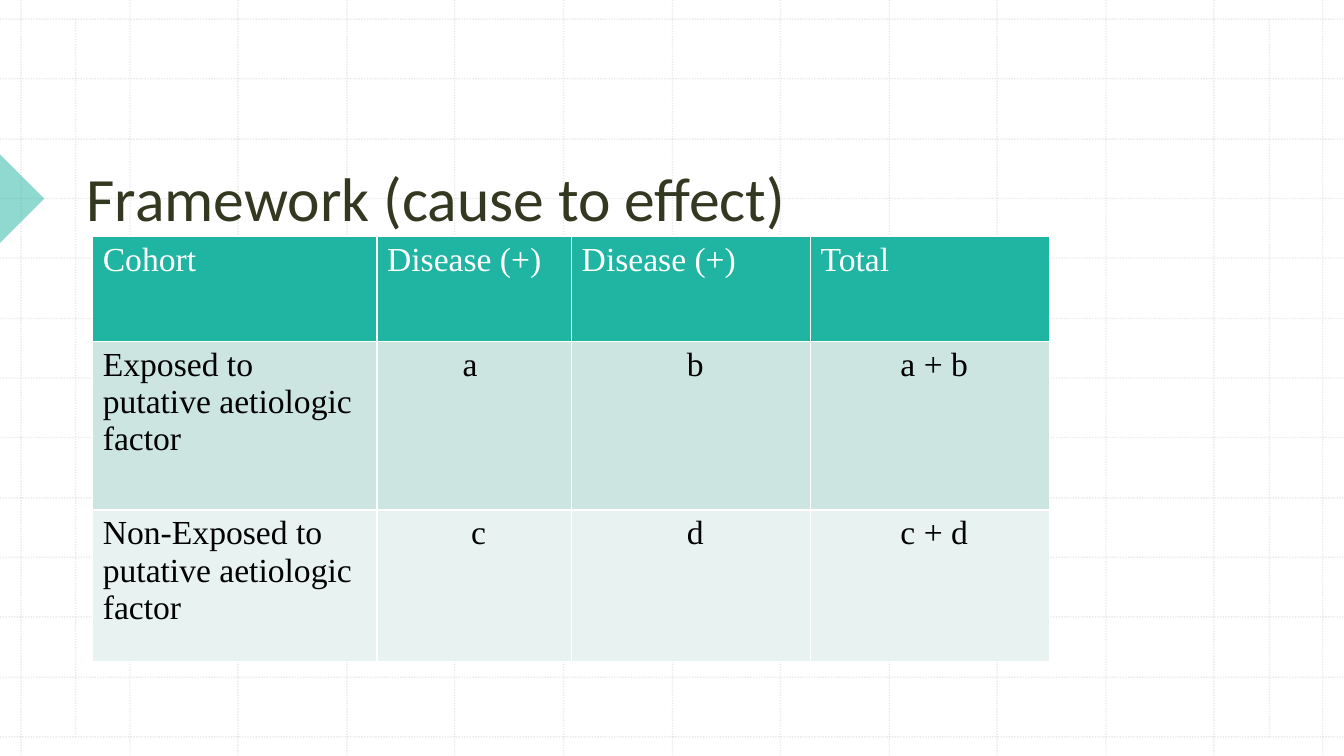
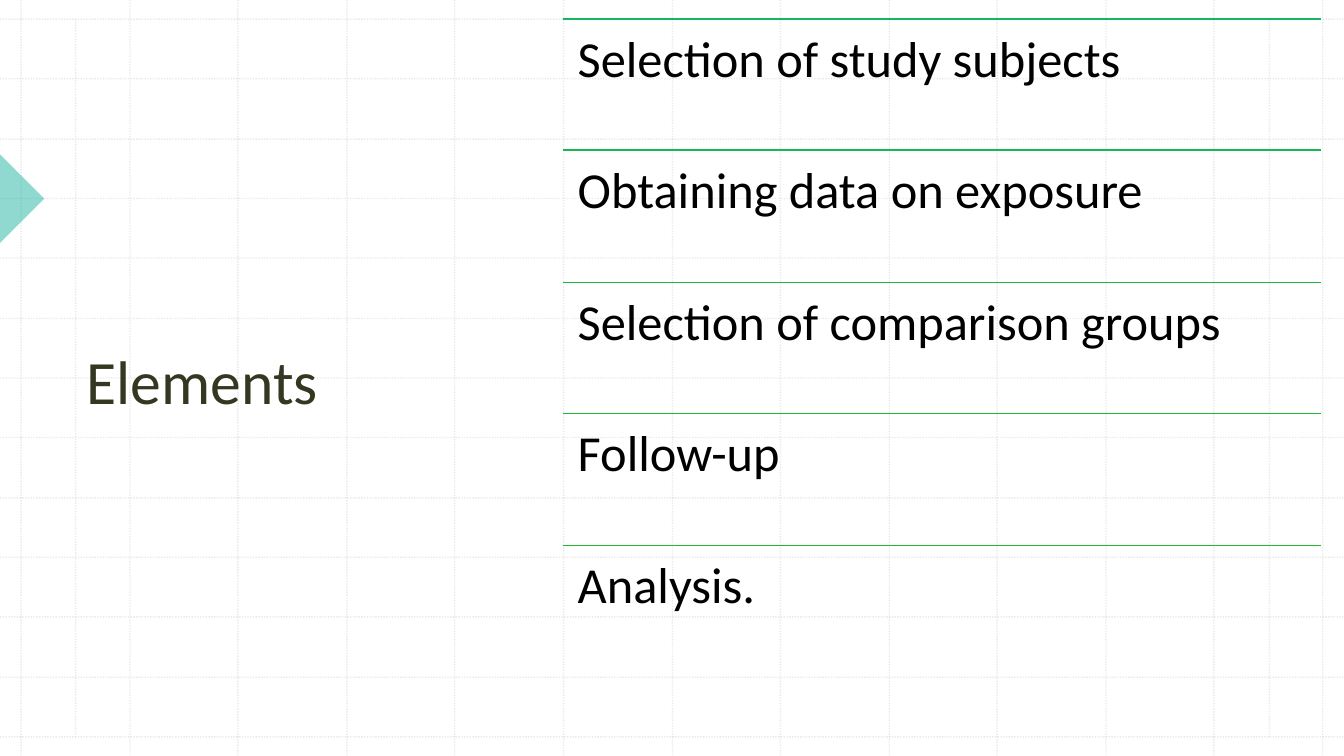
from dataclasses import dataclass

from lxml import etree
from pptx import Presentation
from pptx import util as u
from pptx.dml.color import RGBColor
from pptx.enum import dml, shapes, text
from pptx.oxml import ns

EMU_PER_PX = 9144
SLIDE_WIDTH, SLIDE_HEIGHT = 1333, 750
GRID_LEFT, GRID_RIGHT = 21, 1312
GRID_TOP, GRID_BOTTOM = 19, 731
GRID_STEPS = 12
INNER_VERTICALS = (75, 1259)

TEAL, WHITE, BLACK, GRID_GREY = "20B4A2", "FFFFFF", "000000", "BCBCBC"
TITLE_FONT = {"name": "Calibri", "size": u.Pt(44), "bold": False}
TITLE_COLOUR = "333820"
ELEMENT_FONT = {"name": "Calibri", "size": u.Pt(36)}
TABLE_FONT = {"name": "Times New Roman", "size": u.Pt(24), "bold": False}


@dataclass(frozen=True)
class Box:
    left: int
    top: int
    width: int
    height: int

    def emu(self) -> tuple:
        return tuple(map(px, (self.left, self.top, self.width, self.height)))


@dataclass(frozen=True)
class Line:
    start: tuple
    end: tuple
    colour: str


@dataclass(frozen=True)
class TableRow:
    height: int
    fill: str
    font_colour: str
    cells: tuple
    value_alignment: text.PP_ALIGN = text.PP_ALIGN.CENTER


@dataclass(frozen=True)
class Element:
    wording: str
    rule_colour: str


COLUMN_WIDTHS = (282, 193, 237, 237)
TABLE_ROWS = (
    TableRow(104, TEAL, WHITE, ("Cohort", "Disease (+)", "Disease (+)", "Total"),
             text.PP_ALIGN.LEFT),
    TableRow(167, "CDE5E0", BLACK,
             ("Exposed to putative aetiologic factor", "a ", " b", " a + b")),
    TableRow(150, "E8F2F0", BLACK,
             ("Non-Exposed to putative aetiologic factor", " c", " d", " c + d")),
)
ELEMENTS = (
    Element("Selection of study subjects", "14B760"),
    Element("Obtaining data on exposure", "17B851"),
    Element("Selection of comparison groups", "1AB843"),
    Element("Follow-up", "1EB935"),
    Element("Analysis.", "21B928"),
)


def px(length: int) -> u.Emu:
    return u.Emu(length * EMU_PER_PX)


def rgb(colour: str) -> RGBColor:
    return RGBColor.from_string(colour)


def apply_format(target, values: dict) -> None:
    for name, value in values.items():
        setattr(target, name, value)


def format_font(paragraph, values: dict, colour: str) -> None:
    apply_format(paragraph.font, values)
    paragraph.font.color.rgb = rgb(colour)


def set_opacity(shape, percent: int) -> None:
    for colour in shape.element.iter(ns.qn("a:srgbClr")):
        etree.SubElement(colour, ns.qn("a:alpha"), val=str(percent * 1000))


def add_line(slide, line: Line):
    connector = slide.shapes.add_connector(
        shapes.MSO_CONNECTOR.STRAIGHT, *map(px, line.start + line.end))
    connector.line.color.rgb = rgb(line.colour)
    connector.line.width = u.Pt(1)
    etree.SubElement(connector.element.spPr, ns.qn("a:effectLst"))
    return connector


def grid_positions(first: int, last: int) -> list:
    return [first + round((last - first) * step / GRID_STEPS)
            for step in range(GRID_STEPS + 1)]


def grid_lines() -> list:
    spans = [((x, 0), (x, SLIDE_HEIGHT)) for x in grid_positions(GRID_LEFT, GRID_RIGHT)]
    spans += [((0, y), (SLIDE_WIDTH, y)) for y in grid_positions(GRID_TOP, GRID_BOTTOM)]
    spans += [((x, GRID_TOP), (x, GRID_BOTTOM)) for x in INNER_VERTICALS]
    return [Line(start, end, GRID_GREY) for start, end in spans]


def add_edge_marker(slide):
    marker = slide.shapes.add_shape(
        shapes.MSO_SHAPE.RIGHT_TRIANGLE, *Box(-31, 166, 62, 62).emu())
    marker.rotation = 225
    marker.shadow.inherit = False
    marker.fill.solid()
    marker.fill.fore_color.rgb = rgb(TEAL)
    marker.line.fill.background()
    set_opacity(marker, 50)
    return marker


def build_backdrop(slide) -> None:
    """Draw the grid and marker, then move them to the layout all slides share."""
    backdrop = []
    for line in grid_lines():
        connector = add_line(slide, line)
        connector.line.dash_style = dml.MSO_LINE.ROUND_DOT
        set_opacity(connector, 30)
        backdrop.append(connector)
    backdrop.append(add_edge_marker(slide))
    layout_tree = slide.slide_layout.shapes.element
    for index, shape in enumerate(backdrop):
        shape.element.xpath("./*/p:cNvPr")[0].set("id", str(100 + index))
        layout_tree.insert(2 + index, shape.element)


def set_title(slide, wording: str, box: Box, anchor: text.MSO_ANCHOR) -> None:
    title = slide.shapes.title
    apply_format(title, dict(zip(("left", "top", "width", "height"), box.emu())))
    frame = title.text_frame
    frame.text = wording
    apply_format(frame, {"word_wrap": True, "vertical_anchor": anchor,
                         "auto_size": text.MSO_AUTO_SIZE.NONE})
    paragraph = frame.paragraphs[0]
    paragraph.alignment = text.PP_ALIGN.LEFT
    format_font(paragraph, TITLE_FONT, TITLE_COLOUR)


def set_cell_borders(cell, colour: str) -> None:
    properties = cell._tc.get_or_add_tcPr()
    for index, side in enumerate(("lnL", "lnR", "lnT", "lnB")):
        border = etree.Element(ns.qn(f"a:{side}"), w=str(u.Pt(1)))
        fill = etree.SubElement(border, ns.qn("a:solidFill"))
        etree.SubElement(fill, ns.qn("a:srgbClr"), val=colour)
        properties.insert(index, border)


def add_cohort_table(slide) -> None:
    box = Box(92, 235, sum(COLUMN_WIDTHS), sum(row.height for row in TABLE_ROWS))
    table = slide.shapes.add_table(
        len(TABLE_ROWS), len(COLUMN_WIDTHS), *box.emu()).table
    apply_format(table, {"first_row": False, "horz_banding": False})
    for column, width in zip(table.columns, COLUMN_WIDTHS):
        column.width = px(width)
    for table_row, row in zip(table.rows, TABLE_ROWS):
        table_row.height = px(row.height)
        for index, (cell, wording) in enumerate(zip(table_row.cells, row.cells)):
            cell.text = wording
            cell.fill.solid()
            cell.fill.fore_color.rgb = rgb(row.fill)
            set_cell_borders(cell, WHITE)
            paragraph = cell.text_frame.paragraphs[0]
            paragraph.alignment = row.value_alignment if index else text.PP_ALIGN.LEFT
            format_font(paragraph, TABLE_FONT, row.font_colour)


def add_element_list(slide, area: Box) -> None:
    height = area.height // len(ELEMENTS)
    margins = dict.fromkeys(
        ("margin_left", "margin_top", "margin_right", "margin_bottom"), px(15))
    for index, element in enumerate(ELEMENTS):
        top = area.top + area.height * index // len(ELEMENTS)
        add_line(slide, Line((area.left, top), (area.left + area.width, top),
                             element.rule_colour))
        frame = slide.shapes.add_textbox(
            *Box(area.left, top, area.width, height).emu()).text_frame
        apply_format(frame, {"word_wrap": True, **margins})
        paragraph = frame.paragraphs[0]
        paragraph.text = element.wording
        paragraph.line_spacing = 0.9
        format_font(paragraph, ELEMENT_FONT, BLACK)


def main() -> None:
    presentation = Presentation()
    presentation.slide_width = px(SLIDE_WIDTH)
    presentation.slide_height = px(SLIDE_HEIGHT)
    title_only = presentation.slide_layouts[5]

    framework = presentation.slides.add_slide(title_only)
    build_backdrop(framework)
    set_title(framework, "Framework (cause to effect)", Box(76, 79, 1129, 158),
              text.MSO_ANCHOR.BOTTOM)
    add_cohort_table(framework)

    elements = presentation.slides.add_slide(title_only)
    set_title(elements, "Elements", Box(76, 79, 375, 595), text.MSO_ANCHOR.MIDDLE)
    add_element_list(elements, Box(558, 19, 752, 653))

    presentation.save("out.pptx")


if __name__ == "__main__":
    main()
